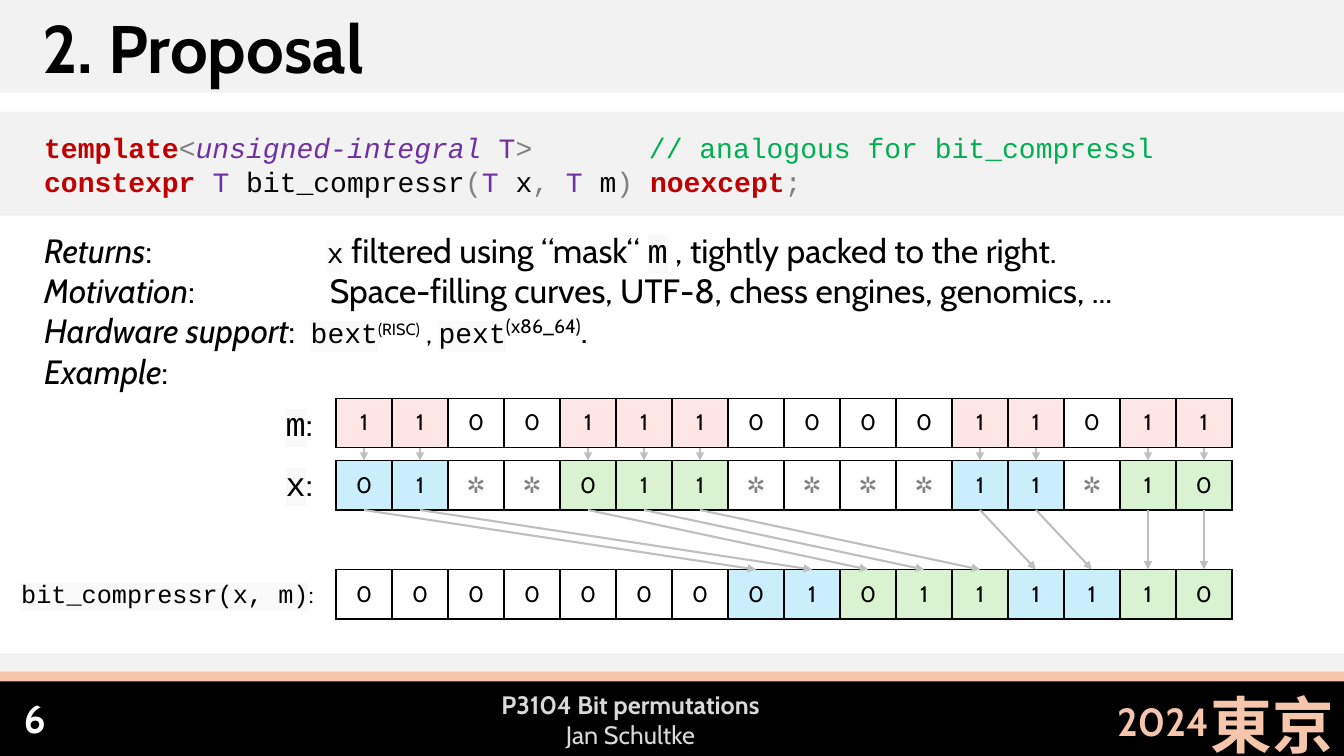
import pptx
import pptx.dml.color
import pptx.enum.shapes
import pptx.enum.text
import pptx.oxml
import pptx.oxml.ns
import pptx.util
from lxml import etree

Pt = pptx.util.Pt
qn = pptx.oxml.ns.qn
ALIGN = pptx.enum.text.PP_ALIGN
ANCHOR = pptx.enum.text.MSO_ANCHOR

COLORS = {
    "black": "000000", "white": "FFFFFF", "panel": "F2F2F2", "peach": "F6C6AC",
    "keyword": "C00000", "type": "7030A0", "symbol": "808080", "comment": "00B050",
    "code_back": "F9F9F9", "footer": "D9D9D9", "arrow": "BFBFBF",
    "mask": "FFE5E5", "blue": "CAEEFB", "green": "D9F2D0",
}
SANS = "Cabin"
MONO = "Courier New"

MASK = "1100111000011011"
INPUT = "01✲✲011✲✲✲✲11✲10"
GROUPS = ["blue"] * 2 + ["green"] * 3 + ["blue"] * 2 + ["green"] * 2
GRID_LEFT, CELL_WIDTH, CELL_HEIGHT = 240, 40, 35.3
MASK_TOP, INPUT_TOP, RESULT_TOP = 284.4, 329, 406.8


def rgb(name):
    return pptx.dml.color.RGBColor.from_string(COLORS[name])


def add_run(paragraph, text, size, font=SANS, color="black", bold=False,
            italic=False, highlight=False, raised=False):
    run = paragraph.add_run()
    run.text = text
    run.font.size = Pt(size)
    run.font.name = font
    run.font.bold = bold
    run.font.italic = italic
    run.font.color.rgb = rgb(color)
    properties = run.font._element
    if raised:
        properties.set("baseline", "30000")
    if highlight:
        mark = etree.Element(qn("a:highlight"))
        etree.SubElement(mark, qn("a:srgbClr"), val=COLORS["code_back"])
        properties.find(qn("a:solidFill")).addnext(mark)


def code(text, color="black", **style):
    return dict(text=text, size=20, font=MONO, color=color, **style)


def marked(text, size=20):
    return dict(text=text, size=size, font=MONO, highlight=True)


def plain(text, size=24, **style):
    return dict(text=text, size=size, **style)


def add_text(slide, left, top, width, height, lines, align=ALIGN.LEFT,
             anchor=ANCHOR.TOP, grow=True):
    frame = slide.shapes.add_textbox(Pt(left), Pt(top), Pt(width), Pt(height)).text_frame
    frame.word_wrap = True
    frame.vertical_anchor = anchor
    sizing = pptx.enum.text.MSO_AUTO_SIZE
    frame.auto_size = sizing.SHAPE_TO_FIT_TEXT if grow else sizing.NONE
    for index, runs in enumerate(lines):
        paragraph = frame.paragraphs[0] if index == 0 else frame.add_paragraph()
        paragraph.alignment = align
        for run in runs:
            add_run(paragraph, **run)
    return frame.paragraphs


def set_tab(paragraph, position):
    properties = paragraph._p.get_or_add_pPr()
    stops = etree.SubElement(properties, qn("a:tabLst"))
    etree.SubElement(stops, qn("a:tab"), pos=str(Pt(position)), algn="l")


def add_band(slide, top, height, color):
    band = slide.shapes.add_shape(pptx.enum.shapes.MSO_SHAPE.RECTANGLE,
                                  0, Pt(top), Pt(960), Pt(height))
    band.shadow.inherit = False
    band.fill.solid()
    band.fill.fore_color.rgb = rgb(color)
    band.line.fill.background()


def add_borders(cell):
    properties = cell._tc.get_or_add_tcPr()
    for side in ("lnL", "lnR", "lnT", "lnB"):
        border = etree.SubElement(properties, qn("a:" + side), w=str(Pt(1)))
        fill = etree.SubElement(border, qn("a:solidFill"))
        etree.SubElement(fill, qn("a:srgbClr"), val=COLORS["black"])


def add_bits(slide, top, bits, fills):
    table = slide.shapes.add_table(1, len(bits), Pt(GRID_LEFT), Pt(top),
                                   Pt(CELL_WIDTH * len(bits)), Pt(CELL_HEIGHT)).table
    table.first_row = False
    table.horz_banding = False
    for index, bit in enumerate(bits):
        cell = table.cell(0, index)
        add_borders(cell)
        if index in fills:
            cell.fill.solid()
            cell.fill.fore_color.rgb = rgb(fills[index])
        else:
            cell.fill.background()
        cell.vertical_anchor = ANCHOR.MIDDLE
        paragraph = cell.text_frame.paragraphs[0]
        paragraph.alignment = ALIGN.CENTER
        add_run(paragraph, bit, 16, color="symbol" if bit == "✲" else "black")


def add_arrow(slide, source, source_top, target, target_top):
    start, end = (GRID_LEFT + CELL_WIDTH * (index + 0.5) for index in (source, target))
    arrow = slide.shapes.add_connector(pptx.enum.shapes.MSO_CONNECTOR.STRAIGHT,
                                       Pt(start), Pt(source_top + CELL_HEIGHT),
                                       Pt(end), Pt(target_top))
    arrow.line.color.rgb = rgb("arrow")
    arrow.line.width = Pt(1.5)
    etree.SubElement(arrow.line._get_or_add_ln(), qn("a:tailEnd"), type="triangle")
    etree.SubElement(arrow._element.spPr, qn("a:effectLst"))


def add_body(slide):
    paragraphs = add_text(slide, 24.5, 77.8, 911.5, 237.6, [
        [code("template", "keyword", bold=True), code("<", "symbol"),
         code("unsigned-integral", "type", italic=True), code(" T", "type"),
         code(">\t", "symbol"), code("// analogous for bit_compressl", "comment")],
        [code("constexpr ", "keyword", bold=True), code("T ", "type"),
         code("bit_compressr"), code("(", "symbol"), code("T ", "type"), code("x"),
         code(", ", "symbol"), code("T ", "type"), code("m"), code(") ", "symbol"),
         code("noexcept", "keyword", bold=True), code(";", "symbol")],
        [plain("Returns", italic=True), plain(":\t"), marked("x"),
         plain(" filtered using “mask“ "), marked("m", 24),
         plain(" , tightly packed to the right.")],
        [plain("Motivation", italic=True),
         plain(":\tSpace-filling curves, UTF-8, chess engines, genomics, ...")],
        [plain("Hardware support", italic=True), plain(":\t"), marked("bext"),
         plain("(RISC)", 20, raised=True), plain(" , ", 20), marked("pext"),
         plain("(x86_64)", raised=True), plain(".")],
        [plain("Example", italic=True), plain(":")],
    ])
    paragraphs[0].line_spacing = 1.5
    paragraphs[2].space_before = Pt(22.7)
    for index, position in ((0, 432), (2, 202), (3, 204), (4, 190.4)):
        set_tab(paragraphs[index], position)


def add_example(slide):
    kept = [index for index, bit in enumerate(MASK) if bit == "1"]
    padding = len(MASK) - len(kept)
    result = "0" * padding + "".join(INPUT[index] for index in kept)
    targets = range(padding, len(MASK))
    add_bits(slide, MASK_TOP, MASK, dict.fromkeys(kept, "mask"))
    add_bits(slide, INPUT_TOP, INPUT, dict(zip(kept, GROUPS)))
    add_bits(slide, RESULT_TOP, result, dict(zip(targets, GROUPS)))
    for source, target in zip(kept, targets):
        add_arrow(slide, source, MASK_TOP, source, INPUT_TOP)
        add_arrow(slide, source, INPUT_TOP, target, RESULT_TOP)
    for text, size, left, top, width, height in (
            ("m", 24, 149.8, 284.4, 80.6, 36),
            ("x", 24, 149.8, 326.9, 80.6, 36),
            ("bit_compressr(x, m)", 18, 7.2, 409.7, 223.9, 28.8)):
        add_text(slide, left, top, width, height,
                 [[marked(text, size), plain(":", size)]], ALIGN.RIGHT)


def add_footer(slide):
    add_text(slide, 853.2, 486.7, 106.6, 60.5,
             [[plain("東京", 44, color="peach", bold=True)]], ALIGN.RIGHT, ANCHOR.MIDDLE)
    add_text(slide, 756, 494.6, 114.5, 41,
             [[plain("2024", 28, color="peach", bold=True)]], ALIGN.RIGHT)
    add_text(slide, 7.2, 498.2, 32.4, 28.8,
             [[plain("6", 28, color="white", bold=True)]],
             ALIGN.RIGHT, ANCHOR.MIDDLE, grow=False)
    add_text(slide, 105.1, 488.9, 690.5, 51.1,
             [[plain("P3104 Bit permutations", 18, color="footer", bold=True)],
              [plain("Jan Schultke", 18, color="footer")]], ALIGN.CENTER)


def main():
    presentation = pptx.Presentation()
    presentation.slide_width = Pt(960)
    presentation.slide_height = Pt(540)
    slide = presentation.slides.add_slide(presentation.slide_layouts[6])
    for top, height, color in ((80, 74, "panel"), (0, 66.2, "panel"), (486, 54, "black"),
                               (479.5, 7.2, "peach"), (466.6, 12.9, "panel")):
        add_band(slide, top, height, color)
    add_body(slide)
    add_text(slide, 23, 0.7, 830.9, 65.5, [[plain("2. Proposal", 48, bold=True)]])
    add_footer(slide)
    add_example(slide)
    presentation.save("out.pptx")


if __name__ == "__main__":
    main()
